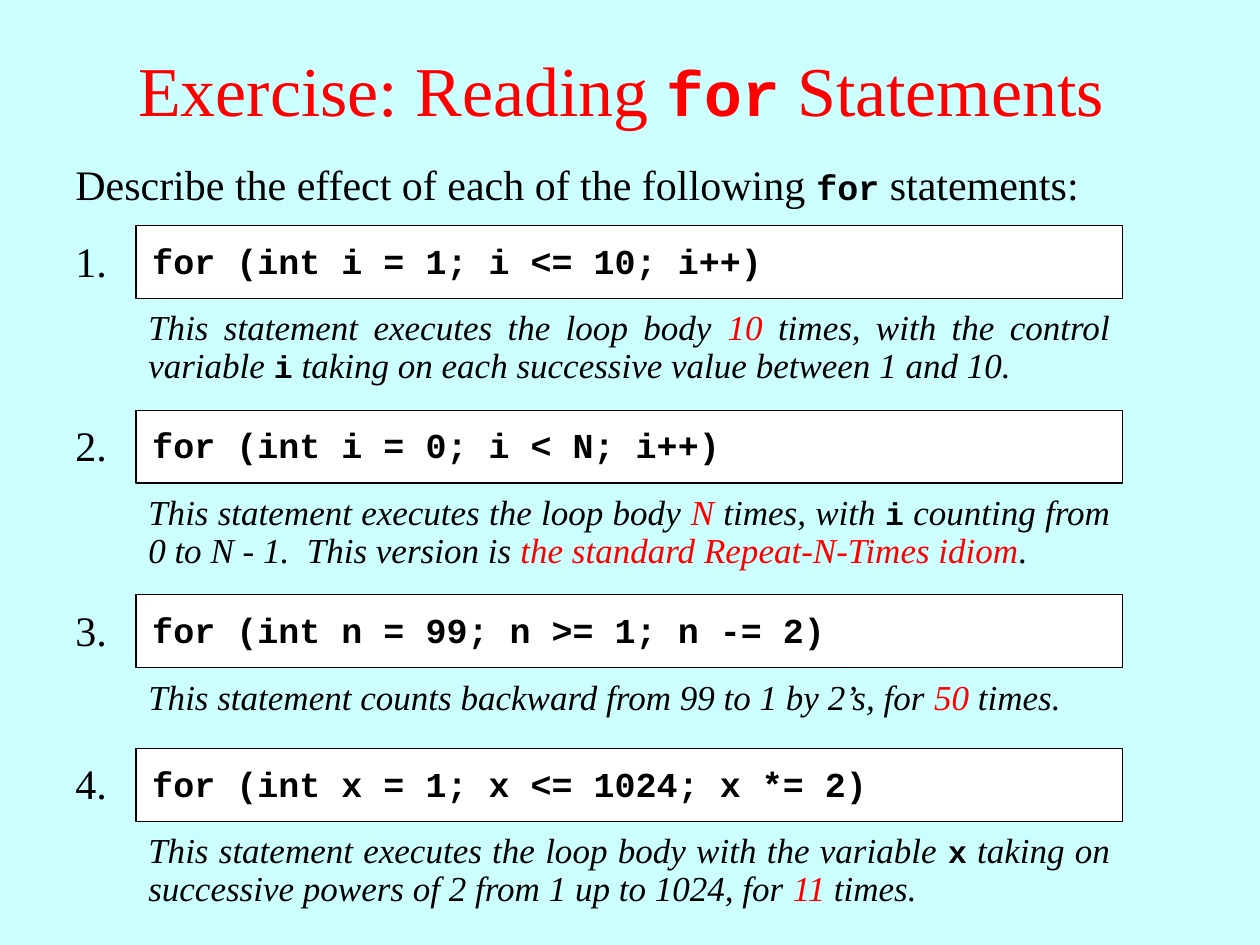
from pptx import Presentation
from pptx.dml.color import RGBColor
from pptx.enum.shapes import MSO_SHAPE as SHAPE
from pptx.enum.text import MSO_ANCHOR as ANCHOR, MSO_AUTO_SIZE as AUTO, PP_ALIGN as ALIGN
from pptx.util import Cm, Pt

SERIF, MONO = "Times New Roman", "Courier New"
BLACK, RED, WHITE, SKY = "000000", "FF0000", "FFFFFF", "CCFFFF"
PLAIN, CODE, ANSWER = "plain", "code", "answer"

# Each exercise: loop header, number of explanation lines, explanation runs
EXERCISES = [
    ("for (int i = 1; i <= 10; i++)", 2, [
        ("This statement executes the loop body ", PLAIN), ("10", ANSWER),
        (" times, with the control variable ", PLAIN), ("i", CODE),
        (" taking on each successive value between 1 and 10.", PLAIN)]),
    ("for (int i = 0; i < N; i++)", 2, [
        ("This statement executes the loop body ", PLAIN), ("N", ANSWER),
        (" times, with ", PLAIN), ("i", CODE),
        (" counting from 0 to N - 1.  This version is ", PLAIN),
        ("the standard Repeat-N-Times idiom", ANSWER), (".", PLAIN)]),
    ("for (int n = 99; n >= 1; n -= 2)", 1, [
        ("This statement counts backward from 99 to 1 by 2’s, for ", PLAIN),
        ("50", ANSWER), (" times.", PLAIN)]),
    ("for (int x = 1; x <= 1024; x *= 2)", 2, [
        ("This statement executes the loop body with the variable ", PLAIN), ("x", CODE),
        (" taking on successive powers of 2 from 1 up to 1024, for ", PLAIN),
        ("11", ANSWER), (" times.", PLAIN)]),
]


def rgb(color):
    return RGBColor.from_string(color)


def write_runs(p, runs, size, code_size, color=BLACK, italic=False):
    for text, kind in runs:
        r = p.add_run()
        r.text = text
        is_code = kind == CODE
        r.font.name = MONO if is_code else SERIF
        r.font.size = Pt(code_size if is_code else size)
        r.font.bold = is_code
        r.font.italic = italic and not is_code
        r.font.color.rgb = rgb(RED if kind == ANSWER else color)


def add_text(shapes, x, y, w, h, runs, size, code_size, italic=False, prose=True):
    """Add a text box; prose is justified with tight line spacing."""
    tf = shapes.add_textbox(Cm(x), Cm(y), Cm(w), Cm(h)).text_frame
    tf.word_wrap = True
    tf.auto_size = AUTO.SHAPE_TO_FIT_TEXT
    p = tf.paragraphs[0]
    if prose:
        p.alignment = ALIGN.JUSTIFY
        p.line_spacing = 0.9
    write_runs(p, runs, size, code_size, italic=italic)


def place_title(title, x, y, w, h):
    title.left, title.top, title.width, title.height = Cm(x), Cm(y), Cm(w), Cm(h)
    tf = title.text_frame
    tf.auto_size = AUTO.NONE
    tf.vertical_anchor = ANCHOR.MIDDLE
    p = tf.paragraphs[0]
    p.alignment = ALIGN.CENTER
    runs = [("Exercise: Reading ", PLAIN), ("for", CODE), (" Statements ", PLAIN)]
    write_runs(p, runs, 40, 36, color=RED)


def add_exercise(shapes, x, y, w, number, code, lines, explanation):
    """Draw one numbered loop with its explanation and return its height."""
    indent = 1.47
    box_x, box_w = x + indent, w - indent
    parts = shapes.add_group_shape().shapes
    box = parts.add_shape(SHAPE.RECTANGLE, Cm(box_x), Cm(y), Cm(box_w), Cm(1.47))
    box.shadow.inherit = False
    box.fill.solid()
    box.fill.fore_color.rgb = rgb(WHITE)
    box.line.color.rgb = rgb(BLACK)
    box.line.width = Pt(0.75)
    add_text(parts, box_x + 0.08, y + 0.15, box_w - 0.27, 1.09, [(code, CODE)], 20, 20,
             prose=False)
    add_text(parts, x, y + 0.18, 1.27, 1.17, [(f"{number}.", PLAIN)], 24, 20)
    add_text(shapes, box_x, y + 1.59, box_w, 0.25 + 0.77 * lines, explanation, 20, 18,
             italic=True)
    return 2.48 + 0.62 * lines


def main():
    prs = Presentation()
    prs.slide_width, prs.slide_height = Cm(25.4), Cm(19.05)
    s = prs.slides.add_slide(prs.slide_layouts[5])
    s.background.fill.solid()
    s.background.fill.fore_color.rgb = rgb(SKY)

    place_title(s.shapes.title, 0, 0.2, 25.4, 3.18)
    prompt = [("Describe the effect of each of the following ", PLAIN), ("for", CODE),
              (" statements: ", PLAIN)]
    add_text(s.shapes, 1.27, 3.18, 22.86, 1.17, prompt, 24, 20)
    y = 4.55
    for number, exercise in enumerate(EXERCISES, 1):
        y += add_exercise(s.shapes, 1.27, y, 21.36, number, *exercise)

    prs.save("out.pptx")


if __name__ == "__main__":
    main()
